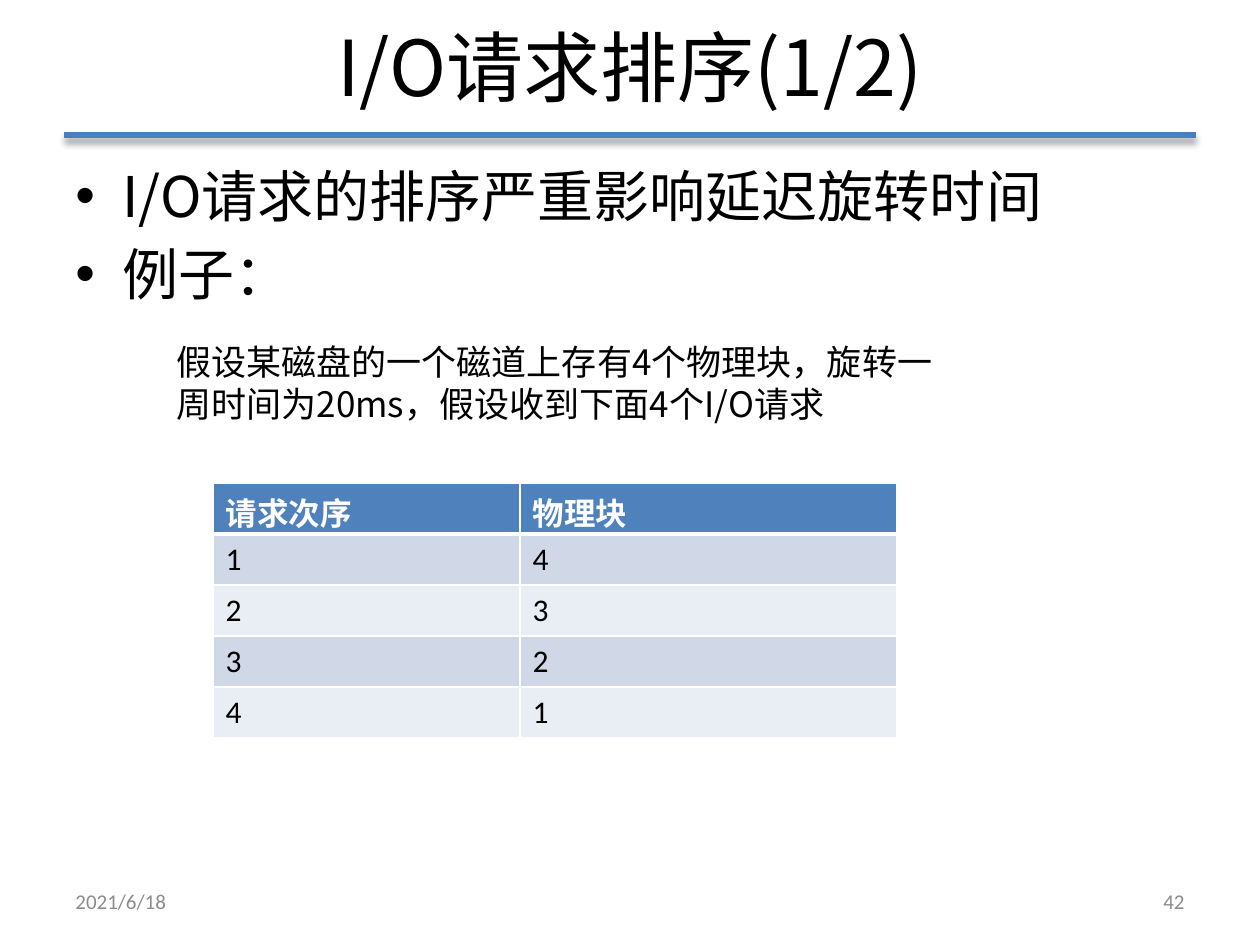
import pptx
import pptx.util
import pptx.dml.color
import pptx.enum.shapes
import pptx.enum.text
import pptx.oxml
import pptx.oxml.ns
from lxml import etree

RGBColor = pptx.dml.color.RGBColor
ALIGN = pptx.enum.text.PP_ALIGN
ANCHOR = pptx.enum.text.MSO_ANCHOR

EMU_PER_PX = 914400 / 126
CJK_FONT = "Noto Sans CJK JP"
LATIN_FONT = "Calibri"

BLACK = RGBColor(0x00, 0x00, 0x00)
WHITE = RGBColor(0xFF, 0xFF, 0xFF)
GREY = RGBColor(0x8C, 0x8C, 0x8C)
RULE_BLUE = RGBColor(0x4B, 0x7E, 0xBC)
HEADER_BLUE = RGBColor(0x4F, 0x81, 0xBD)
BAND_COLORS = (RGBColor(0xD0, 0xD8, 0xE8), RGBColor(0xE9, 0xED, 0xF4))

REQUESTS = [("请求次序", "物理块"), ("1", "4"), ("2", "3"), ("3", "2"), ("4", "1")]
COLUMN_WIDTHS = (307, 377)
ROW_HEIGHT = 51


def px(length):
    return pptx.util.Emu(round(length * EMU_PER_PX))


def set_attributes(target, values):
    for name, value in values.items():
        setattr(target, name, value)


def add_child(parent, tag, **attributes):
    child = etree.SubElement(parent, pptx.oxml.ns.qn(tag))
    for name, value in attributes.items():
        child.set(name, str(value))
    return child


def write_paragraph(paragraph, text, size, color, font=CJK_FONT, bold=False,
                    align=ALIGN.LEFT):
    paragraph.alignment = align
    run = paragraph.add_run()
    run.text = text
    set_attributes(run.font, {"size": pptx.util.Pt(size), "name": font, "bold": bold})
    run.font.color.rgb = color
    add_child(run.font._element, "a:ea", typeface=CJK_FONT)


def place(shape, left, top, width, height):
    set_attributes(shape, {"left": px(left), "top": px(top),
                           "width": px(width), "height": px(height)})


def add_text(slide, box, text, size, color, anchor=ANCHOR.TOP, **style):
    shape = slide.shapes.add_textbox(*map(px, box))
    set_attributes(shape.text_frame, {"word_wrap": True, "vertical_anchor": anchor})
    write_paragraph(shape.text_frame.paragraphs[0], text, size, color, **style)


def add_title(slide, text):
    title = slide.shapes.title
    place(title, 63, -4, 1134, 139)
    title.text_frame.vertical_anchor = ANCHOR.MIDDLE
    write_paragraph(title.text_frame.paragraphs[0], text, 44, BLACK, align=ALIGN.CENTER)


def add_rule(slide):
    rule = slide.shapes.add_connector(
        pptx.enum.shapes.MSO_CONNECTOR.STRAIGHT, px(64), px(135), px(1196), px(135))
    rule.line.color.rgb = RULE_BLUE
    rule.line.width = pptx.util.Pt(3)
    # Soft shadow below the line
    effects = add_child(rule._element.spPr, "a:effectLst")
    shadow = add_child(effects, "a:outerShdw", blurRad=pptx.util.Pt(4),
                       dist=pptx.util.Pt(3), dir=90 * 60000, rotWithShape=0)
    color = add_child(shadow, "a:srgbClr", val=BLACK)
    add_child(color, "a:alpha", val=40000)


def add_bullets(slide, box, lines):
    frame = slide.shapes.add_textbox(*map(px, box)).text_frame
    frame.word_wrap = True
    for index, line in enumerate(lines):
        paragraph = frame.add_paragraph() if index else frame.paragraphs[0]
        write_paragraph(paragraph, line, 32, BLACK)
        paragraph.space_before = pptx.util.Pt(6.4)
        properties = paragraph._p.get_or_add_pPr()
        properties.set("marL", str(px(47)))
        properties.set("indent", str(-px(47)))
        add_child(properties, "a:buFont", typeface="Arial")
        add_child(properties, "a:buChar", char="•")


def add_border(cell, side, width):
    line = add_child(cell._tc.get_or_add_tcPr(), f"a:ln{side}", w=pptx.util.Pt(width))
    add_child(add_child(line, "a:solidFill"), "a:srgbClr", val=WHITE)


def add_request_table(slide):
    table = slide.shapes.add_table(
        len(REQUESTS), len(COLUMN_WIDTHS), px(213), px(483),
        px(sum(COLUMN_WIDTHS)), px(ROW_HEIGHT * len(REQUESTS))).table
    for column, width in zip(table.columns, COLUMN_WIDTHS):
        column.width = px(width)
    for row_index, values in enumerate(REQUESTS):
        header = row_index == 0
        for column_index, value in enumerate(values):
            cell = table.cell(row_index, column_index)
            for side in "LRTB":
                thick = (header and side == "B") or (row_index == 1 and side == "T")
                add_border(cell, side, 3 if thick else 1)
            cell.fill.solid()
            cell.fill.fore_color.rgb = (
                HEADER_BLUE if header else BAND_COLORS[(row_index - 1) % 2])
            write_paragraph(cell.text_frame.paragraphs[0], value, 18,
                            WHITE if header else BLACK, font=LATIN_FONT, bold=header)


def main():
    presentation = pptx.Presentation()
    set_attributes(presentation, {"slide_width": px(1260), "slide_height": px(945)})
    slide = presentation.slides.add_slide(presentation.slide_layouts[5])

    # Heading
    add_rule(slide)
    add_title(slide, "I/O请求排序(1/2)")

    # Body and example
    add_bullets(slide, (63, 155, 1134, 689),
                ["I/O请求的排序严重影响延迟旋转时间", "例子："])
    add_text(slide, (164, 334, 784, 97),
             "假设某磁盘的一个磁道上存有4个物理块，旋转一周时间为20ms，"
             "假设收到下面4个I/O请求", 20, BLACK)
    add_request_table(slide)

    # Footer
    footer = {"size": 12, "color": GREY, "font": LATIN_FONT, "anchor": ANCHOR.MIDDLE}
    add_text(slide, (63, 876, 294, 50), "2021/6/18", **footer)
    add_text(slide, (903, 876, 294, 50), "42", align=ALIGN.RIGHT, **footer)

    presentation.save("out.pptx")


if __name__ == "__main__":
    main()
